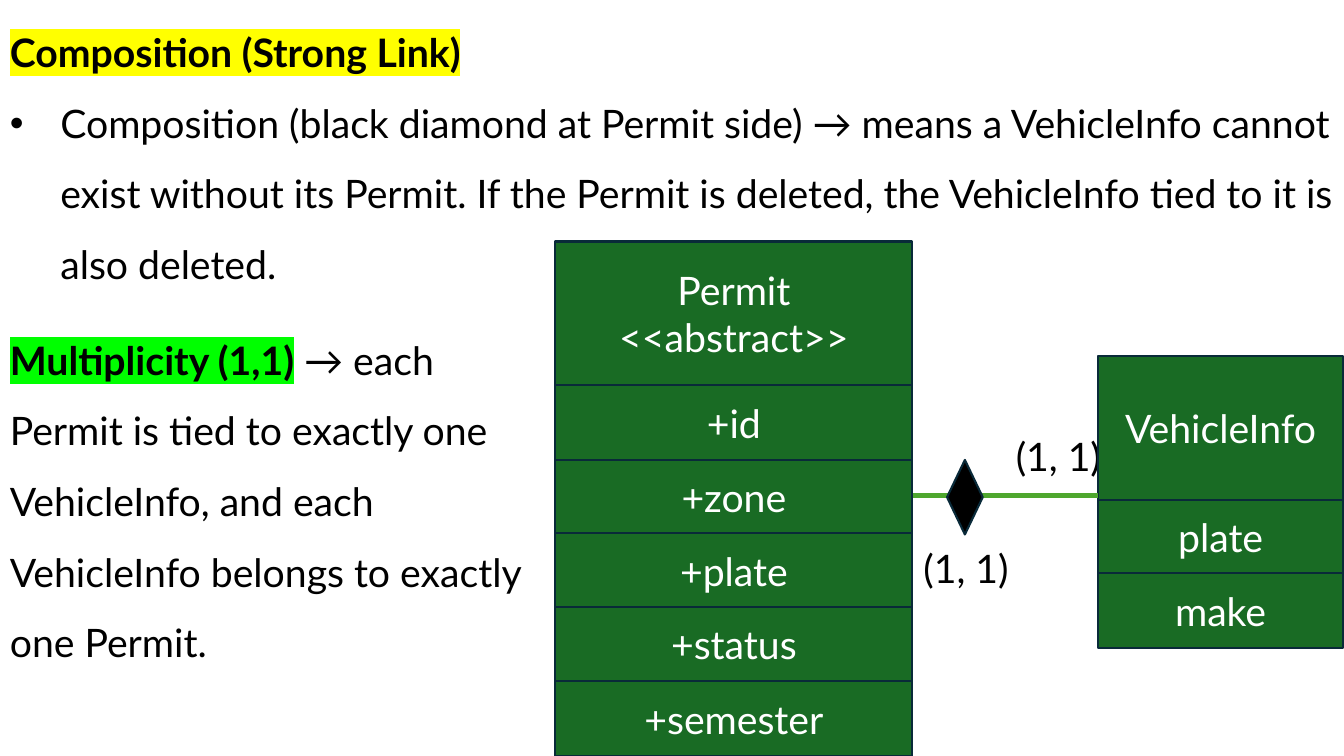
from lxml.etree import SubElement
from pptx import Presentation
from pptx.dml.color import RGBColor
from pptx.enum.shapes import MSO_CONNECTOR, MSO_SHAPE
from pptx.enum.text import MSO_ANCHOR, MSO_AUTO_SIZE, PP_ALIGN
from pptx.oxml.ns import qn
from pptx.util import Pt

PX = 9525
COLORS = {
    "black": "000000", "white": "FFFFFF", "green": "196B24", "edge": "092A39",
    "link": "4EA72E", "yellow": "FFFF00", "lime": "00FF00",
}
HEAD, ROW, PITCH = 137, 71, 70.5

deck = Presentation()
deck.slide_width, deck.slide_height = 1280 * PX, 720 * PX
slide = deck.slides.add_slide(deck.slide_layouts[6])
shapes = slide.shapes


def add_box(kind, place, fill, edge=None):
    box = shapes.add_shape(kind, *[n * PX for n in place])
    box.shadow.inherit = False
    box.fill.solid()
    box.fill.fore_color.rgb = RGBColor.from_string(COLORS[fill])
    if edge:
        box.line.color.rgb = RGBColor.from_string(COLORS[edge])
        box.line.width = Pt(1.5)
    else:
        box.line.fill.background()
    return box


def style(para, color, align, space):
    para.alignment = align
    para.line_spacing = space
    para.font.name = "Lato"
    para.font.size = Pt(28)
    para.font.color.rgb = RGBColor.from_string(COLORS[color])


for left, top in [(870, 491), (958, 385)]:
    label = add_box(MSO_SHAPE.RECTANGLE, (left, top, 101, 70), "white")
    frame = label.text_frame
    frame.word_wrap = True
    frame.auto_size = MSO_AUTO_SIZE.SHAPE_TO_FIT_TEXT
    frame.vertical_anchor = MSO_ANCHOR.TOP
    frame.text = "(1, 1)"
    style(frame.paragraphs[0], "black", PP_ALIGN.LEFT, 1.5)

notes = [
    (293, 529, "lime", "Multiplicity (1,1)",
     " → each Permit is tied to exactly one VehicleInfo, and each VehicleInfo "
     "belongs to exactly one Permit.", None),
    (0, 1280, "yellow", "Composition (Strong Link)", None,
     "Composition (black diamond at Permit side) → means a VehicleInfo cannot "
     "exist without its Permit. If the Permit is deleted, the VehicleInfo tied "
     "to it is also deleted."),
]
for top, width, mark, title, rest, point in notes:
    note = shapes.add_textbox(0, top * PX, width * PX, 275 * PX)
    frame = note.text_frame
    frame.word_wrap = True
    frame.auto_size = MSO_AUTO_SIZE.SHAPE_TO_FIT_TEXT
    para = frame.paragraphs[0]
    style(para, "black", PP_ALIGN.LEFT, 1.5)
    run = para.add_run()
    run.text = title
    run.font.bold = True
    light = SubElement(run.font._element, qn("a:highlight"))
    SubElement(light, qn("a:srgbClr"), val=COLORS[mark])
    if rest:
        para.add_run().text = rest
    if point:
        para = frame.add_paragraph()
        para.text = point
        props = para._p.get_or_add_pPr()
        props.set("marL", str(48 * PX))
        props.set("indent", str(-48 * PX))
        SubElement(props, qn("a:buFont"), typeface="Arial")
        SubElement(props, qn("a:buChar"), char="•")
        style(para, "black", PP_ALIGN.LEFT, 1.5)

tables = [
    (1046, 339, 233, "VehicleInfo", ["plate", "make"]),
    (529, 230, 340, "Permit <<abstract>>",
     ["+id", "+zone", "+plate", "+status", "+semester"]),
]
for left, top, width, title, fields in tables:
    cells = [(title, top, HEAD)]
    for i, field in enumerate(fields):
        cells.append((field, round(top + HEAD + i * PITCH), ROW))
    for text, y, height in cells:
        cell = add_box(MSO_SHAPE.RECTANGLE, (left, y, width, height), "green", "edge")
        frame = cell.text_frame
        frame.word_wrap = True
        frame.vertical_anchor = MSO_ANCHOR.MIDDLE
        frame.text = text
        style(frame.paragraphs[0], "white", PP_ALIGN.CENTER, 1.0)

link = shapes.add_connector(
    MSO_CONNECTOR.STRAIGHT, 1046 * PX, 472 * PX, 870 * PX, 472 * PX)
link.line.color.rgb = RGBColor.from_string(COLORS["link"])
link.line.width = Pt(3)
SubElement(link._element.spPr, qn("a:effectLst"))

add_box(MSO_SHAPE.FLOWCHART_DECISION, (902, 438, 34, 71), "black", "edge")

deck.save("out.pptx")
